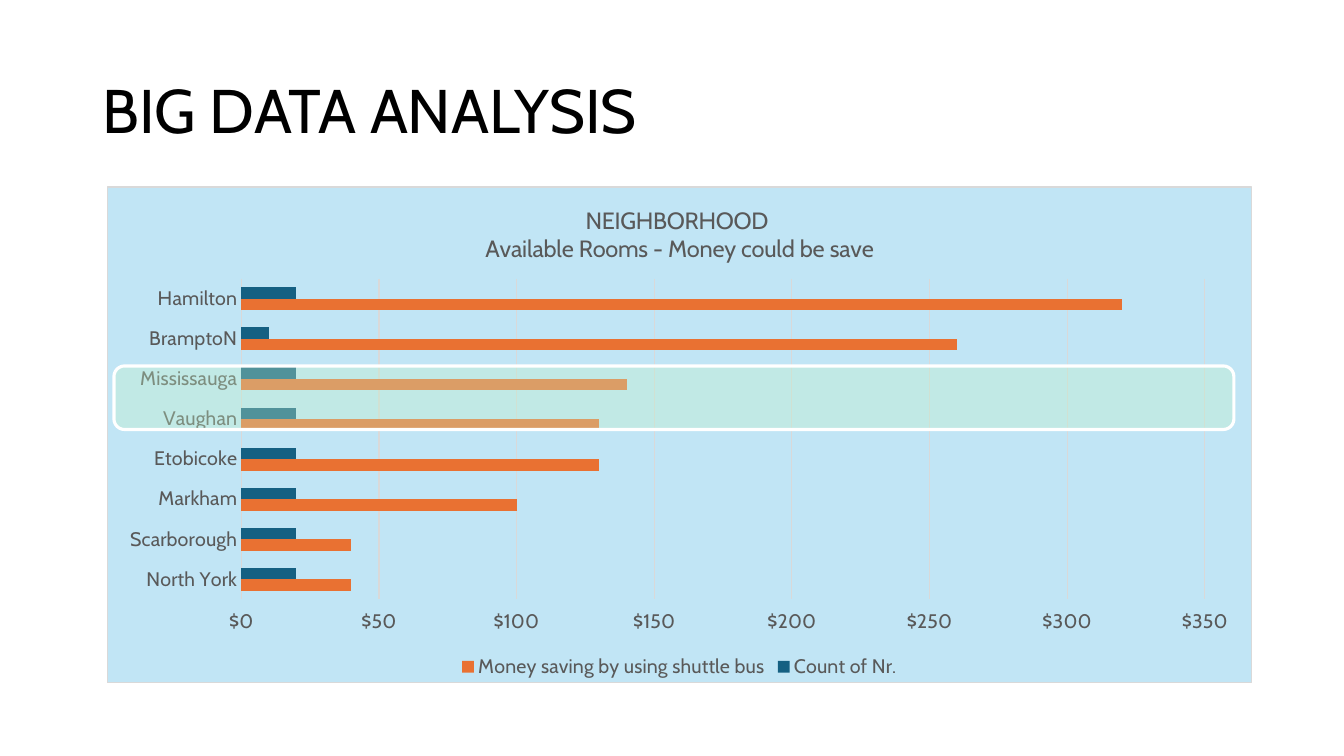
from dataclasses import dataclass

from lxml import etree
from pptx import Presentation
from pptx.chart.data import CategoryChartData
from pptx.dml.color import RGBColor
from pptx.enum.chart import XL_CHART_TYPE, XL_LEGEND_POSITION, XL_TICK_LABEL_POSITION, XL_TICK_MARK
from pptx.enum.shapes import MSO_SHAPE
from pptx.enum.text import MSO_ANCHOR
from pptx.oxml import parse_xml
from pptx.oxml.ns import nsdecls, qn
from pptx.util import Pt

BAR = XL_CHART_TYPE.BAR_CLUSTERED
BOTTOM = XL_LEGEND_POSITION.BOTTOM
HIGH = XL_TICK_LABEL_POSITION.HIGH
NO_TICK = XL_TICK_MARK.NONE
ROUND_RECT = MSO_SHAPE.ROUNDED_RECTANGLE
MIDDLE = MSO_ANCHOR.MIDDLE


@dataclass(frozen=True)
class Theme:
    font: str = "Cabin"
    ink: str = "000000"
    label: str = "595959"
    rule: str = "D9D9D9"
    panel: str = "C1E5F5"
    count: str = "156082"
    saving: str = "E97132"
    highlight: str = "C2F1C8"
    outline: str = "FFFFFF"
    title_size: float = 44
    chart_title_size: float = 16.8
    label_size: float = 14


THEME = Theme()
NEIGHBORHOODS = ["Hamilton", "BramptoN", "Mississauga", "Vaughan",
                 "Etobicoke", "Markham", "Scarborough", "North York"]
SERIES = [
    ("Count of Nr.", [20, 10, 20, 20, 20, 20, 20, 20], THEME.count),
    ("Money saving by using shuttle bus",
     [320, 260, 140, 130, 130, 100, 40, 40], THEME.saving),
]
CHART_TITLE = ["NEIGHBORHOOD ", "Available Rooms - Money could be save"]


def rgb(color):
    return RGBColor.from_string(color)


def style_font(font, size, color):
    font.name = THEME.font
    font.size = Pt(size)
    font.bold = False
    font.color.rgb = rgb(color)


def style_line(line, color, width):
    line.color.rgb = rgb(color)
    line.width = Pt(width)


def add_title(s, text, box):
    tf = s.shapes.add_textbox(*map(Pt, box)).text_frame
    tf.word_wrap = True
    tf.vertical_anchor = MIDDLE
    p = tf.paragraphs[0]
    p.line_spacing = 0.9
    r = p.add_run()
    r.text = text
    style_font(r.font, THEME.title_size, THEME.ink)


def fill_chart_area(chart):
    area = parse_xml(
        f'<c:spPr {nsdecls("c", "a")}>'
        f'<a:solidFill><a:srgbClr val="{THEME.panel}"/></a:solidFill>'
        f'<a:ln w="{Pt(0.75)}"><a:solidFill><a:srgbClr val="{THEME.rule}"/>'
        '</a:solidFill></a:ln></c:spPr>')
    chart.element.find(qn("c:chart")).addnext(area)


def place_plot(chart, box, size):
    plot_area = chart.element.find(qn("c:chart")).find(qn("c:plotArea"))
    old = plot_area.find(qn("c:layout"))
    if old is not None:
        plot_area.remove(old)
    layout = etree.Element(qn("c:layout"))
    manual = etree.SubElement(layout, qn("c:manualLayout"))
    for tag, val in (("layoutTarget", "inner"), ("xMode", "edge"), ("yMode", "edge")):
        etree.SubElement(manual, qn(f"c:{tag}")).set("val", val)
    for tag, length, whole in zip("xywh", box, size * 2):
        etree.SubElement(manual, qn(f"c:{tag}")).set("val", str(length / whole))
    plot_area.insert(0, layout)


def add_chart_title(chart, lines):
    tf = chart.chart_title.text_frame
    for i, text in enumerate(lines):
        p = tf.add_paragraph() if i else tf.paragraphs[0]
        r = p.add_run()
        r.text = text
        style_font(r.font, THEME.chart_title_size, THEME.label)
    chart.chart_title.include_in_layout = False


def style_axes(chart):
    cat, val = chart.category_axis, chart.value_axis
    for axis in (cat, val):
        axis.major_tick_mark = axis.minor_tick_mark = NO_TICK
        style_font(axis.tick_labels.font, THEME.label_size, THEME.label)
    cat.reverse_order = True
    style_line(cat.format.line, THEME.rule, 0.75)
    val.tick_label_position = HIGH
    val.minimum_scale, val.maximum_scale, val.major_unit = 0, 350, 50
    val.tick_labels.number_format = '"$"#,##0'
    val.tick_labels.number_format_is_linked = False
    val.format.line.fill.background()
    style_line(val.major_gridlines.format.line, THEME.rule, 0.75)


def add_bar_chart(s, box):
    data = CategoryChartData()
    data.categories = NEIGHBORHOODS
    for name, values, _ in SERIES:
        data.add_series(name, values)
    chart = s.shapes.add_chart(BAR, *map(Pt, box), data).chart
    style_font(chart.font, THEME.label_size, THEME.ink)
    fill_chart_area(chart)
    place_plot(chart, (95.8, 65.7, 689, 229.5), box[2:])
    add_chart_title(chart, CHART_TITLE)
    style_axes(chart)
    plot = chart.plots[0]
    plot.gap_width, plot.overlap = 150, 0
    plot.vary_by_categories = False
    for series, (_, _, color) in zip(plot.series, SERIES):
        series.format.fill.solid()
        series.format.fill.fore_color.rgb = rgb(color)
    chart.has_legend = True
    chart.legend.position = BOTTOM
    chart.legend.include_in_layout = False
    style_font(chart.legend.font, THEME.label_size, THEME.label)


def add_highlight(s, box, opacity):
    sp = s.shapes.add_shape(ROUND_RECT, *map(Pt, box))
    sp.shadow.inherit = False
    sp.fill.solid()
    sp.fill.fore_color.rgb = rgb(THEME.highlight)
    color = sp.fill._xPr.find(qn("a:solidFill"))[0]
    etree.SubElement(color, qn("a:alpha")).set("val", str(opacity * 1000))
    style_line(sp.line, THEME.outline, 2.25)


def main():
    prs = Presentation()
    prs.slide_width, prs.slide_height = Pt(960), Pt(540)
    s = prs.slides.add_slide(prs.slide_layouts[6])
    add_title(s, "BIG DATA ANALYSIS", (66, 28.75, 828, 104.4))
    add_bar_chart(s, (76.3, 133.2, 818, 355))
    add_highlight(s, (81.4, 261.4, 800, 45.4), 35)
    prs.save("out.pptx")


if __name__ == "__main__":
    main()
